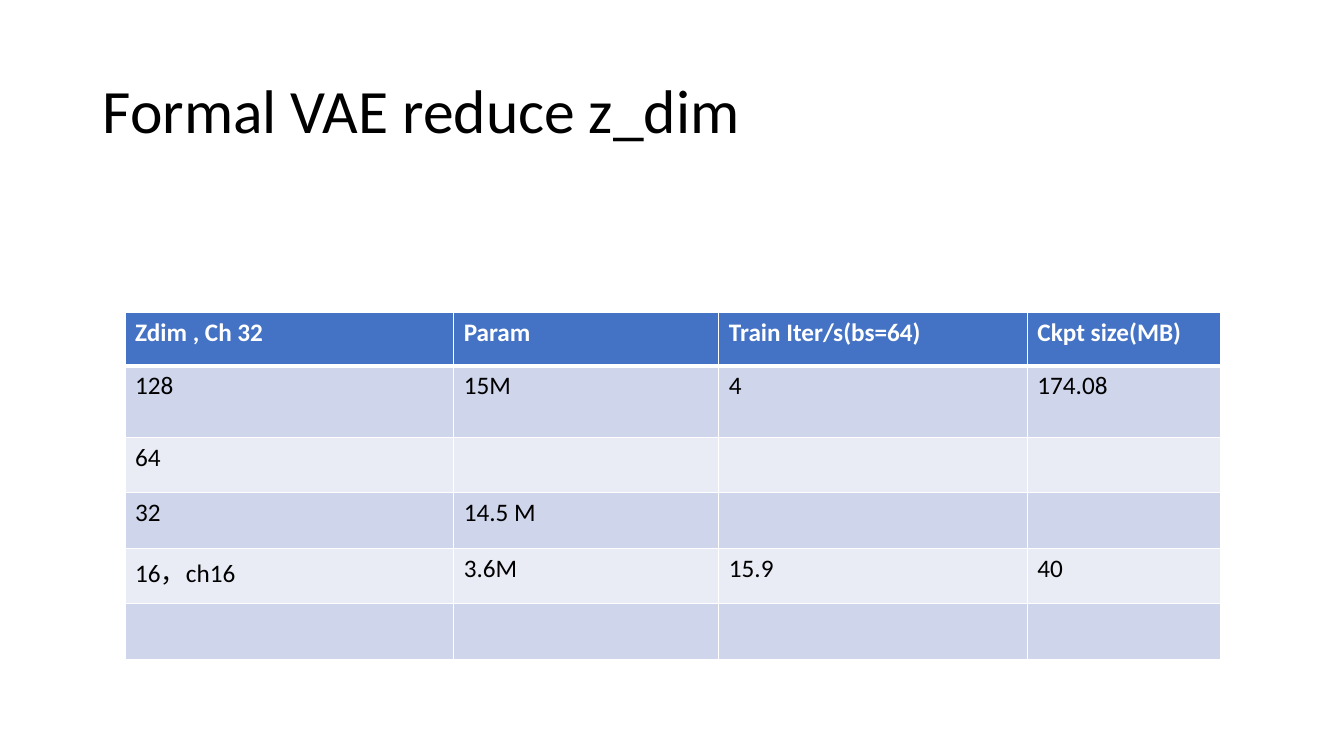
from lxml.etree import SubElement
from pptx import Presentation
from pptx.dml.color import RGBColor
from pptx.enum.text import MSO_ANCHOR
from pptx.oxml.ns import qn
from pptx.util import Inches, Pt

COLORS = {
    "text": "000000",
    "white": "FFFFFF",
    "header": "4472C4",
    "band_dark": "CFD5EA",
    "band_light": "E9EBF5",
}
COLUMN_WIDTHS = [3.26, 2.63, 3.06, 1.92]
ROW_HEIGHTS = [0.53, 0.71, 0.55, 0.55, 0.55, 0.55]
RESULTS = [
    ["Zdim , Ch 32", "Param", "Train Iter/s(bs=64)", "Ckpt size(MB)"],
    ["128", "15M", "4", "174.08"],
    ["64", "", "", ""],
    ["32", "14.5 M", "", ""],
    ["16，ch16", "3.6M", "15.9", "40"],
    ["", "", "", ""],
]


def rgb(name):
    return RGBColor.from_string(COLORS[name])


def write_text(frame, text, size=18, color="text", bold=False, line_spacing=None):
    paragraph = frame.paragraphs[0]
    paragraph.line_spacing = line_spacing
    paragraph.font.size = Pt(size)
    if not text:
        return
    run = paragraph.add_run()
    run.text = text
    run.font.name = "Calibri"
    run.font.size = Pt(size)
    run.font.bold = bold
    run.font.color.rgb = rgb(color)


def set_borders(cell, bottom):
    """Draw white 1 pt cell borders, with the bottom one in its own width."""
    properties = cell._tc.get_or_add_tcPr()
    sides = [("a:lnL", 1), ("a:lnR", 1), ("a:lnT", 1), ("a:lnB", bottom)]
    for position, (side, width) in enumerate(sides):
        line = SubElement(properties, qn(side), w=str(Pt(width)))
        fill = SubElement(line, qn("a:solidFill"))
        SubElement(fill, qn("a:srgbClr"), val=COLORS["white"])
        properties.insert(position, line)


class SlideBuilder:
    def __init__(self, presentation):
        self.slide = presentation.slides.add_slide(presentation.slide_layouts[6])

    def title(self, text, left, top, width, height):
        box = self.slide.shapes.add_textbox(
            Inches(left), Inches(top), Inches(width), Inches(height))
        frame = box.text_frame
        frame.word_wrap = True
        frame.vertical_anchor = MSO_ANCHOR.MIDDLE
        write_text(frame, text, size=44, line_spacing=0.9)

    def table(self, rows, left, top, widths, heights):
        table = self.slide.shapes.add_table(
            len(rows), len(widths), Inches(left), Inches(top),
            Inches(sum(widths)), Inches(sum(heights))).table
        for column, width in zip(table.columns, widths):
            column.width = Inches(width)
        for index, (row, height) in enumerate(zip(table.rows, heights)):
            row.height = Inches(height)
            header = index == 0
            band = "band_dark" if index % 2 else "band_light"
            for cell, text in zip(row.cells, rows[index]):
                cell.fill.solid()
                cell.fill.fore_color.rgb = rgb("header" if header else band)
                set_borders(cell, bottom=3 if header else 1)
                write_text(cell.text_frame, text, bold=header,
                           color="white" if header else "text")
        # The top border of the first data row matches the header's bottom edge.
        for cell in table.rows[1].cells:
            cell._tc.tcPr.find(qn("a:lnT")).set("w", str(Pt(3)))


def main():
    presentation = Presentation()
    presentation.slide_width = Inches(13.33)
    presentation.slide_height = Inches(7.5)
    builder = SlideBuilder(presentation)
    builder.title("Formal VAE reduce z_dim", 0.92, 0.4, 11.5, 1.45)
    builder.table(RESULTS, 1.24, 3.1, COLUMN_WIDTHS, ROW_HEIGHTS)
    presentation.save("out.pptx")


if __name__ == "__main__":
    main()
